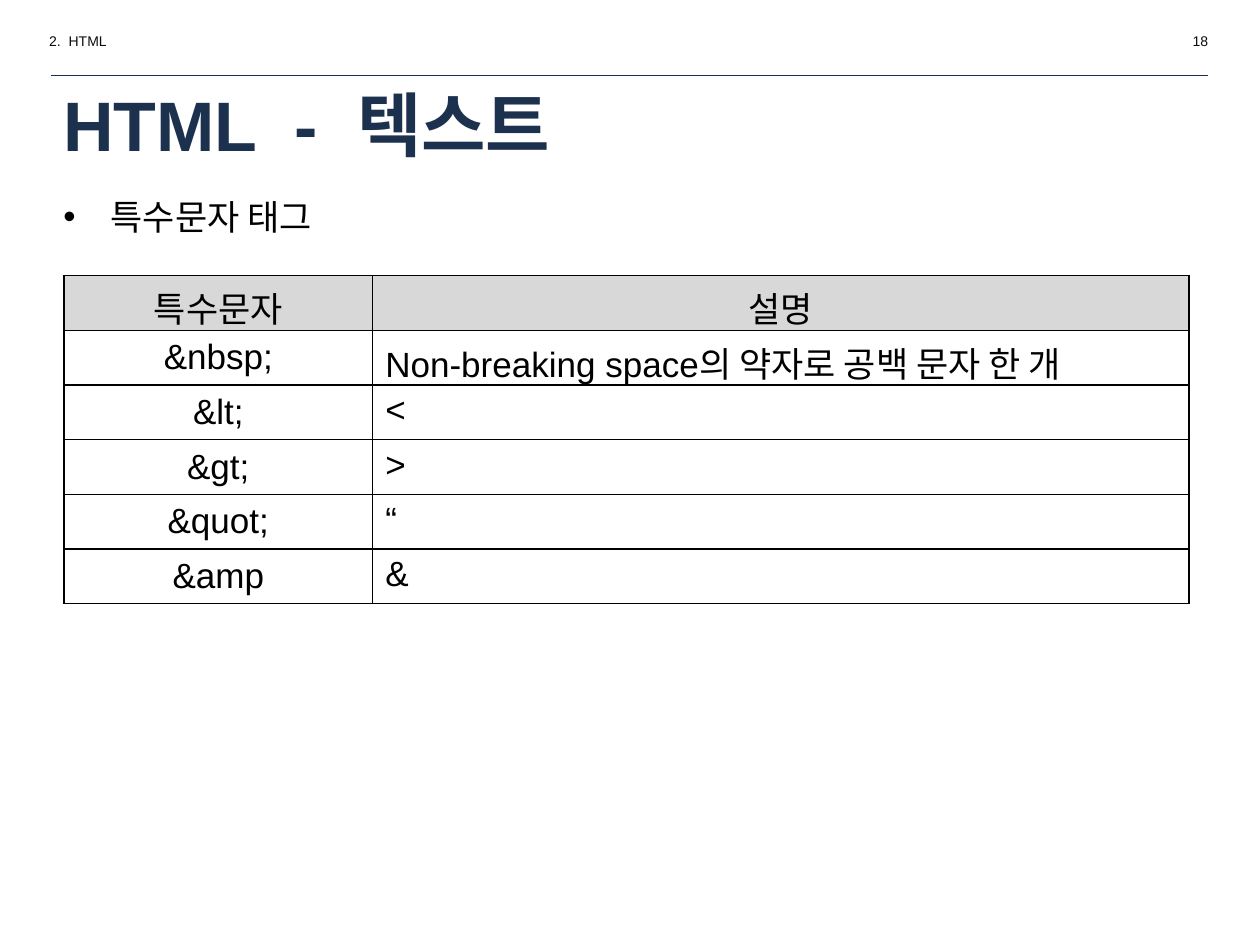
"""Build the slide listing the HTML special character tags."""
from lxml.etree import SubElement
from pptx import Presentation
from pptx.dml.color import RGBColor
from pptx.enum.shapes import MSO_CONNECTOR
from pptx.enum.text import MSO_ANCHOR, MSO_AUTO_SIZE, PP_ALIGN
from pptx.oxml.ns import qn
from pptx.util import Pt

NAVY = RGBColor(0x1C, 0x31, 0x4E)
INK = RGBColor(0x0C, 0x0C, 0x0C)
BLACK = RGBColor(0, 0, 0)
GRAY = RGBColor(0xD8, 0xD8, 0xD8)
ROWS = [
    ("특수문자", "설명"),
    ("&nbsp;", "Non-breaking space의 약자로 공백 문자 한 개"),
    ("&lt;", "<"),
    ("&gt;", ">"),
    ("&quot;", "“"),
    ("&amp", "&"),
]


def write(frame, text, size, color, align=PP_ALIGN.LEFT, bold=False):
    frame.text = text
    paragraph = frame.paragraphs[0]
    paragraph.alignment = align
    paragraph.font.name = "Arial"
    paragraph.font.size = Pt(size)
    paragraph.font.bold = bold
    paragraph.font.color.rgb = color


def add_borders(cell):
    properties = cell._tc.get_or_add_tcPr()
    for side in ("a:lnL", "a:lnR", "a:lnT", "a:lnB"):
        border = SubElement(properties, qn(side), w=str(Pt(1)))
        fill = SubElement(border, qn("a:solidFill"))
        SubElement(fill, qn("a:srgbClr"), val=str(BLACK))


deck = Presentation()
deck.slide_width, deck.slide_height = Pt(720), Pt(540)
page = deck.slides.add_slide(deck.slide_layouts[1])

for left, text, align in ((21, "2.  HTML", PP_ALIGN.LEFT), (573, "18", PP_ALIGN.RIGHT)):
    box = page.shapes.add_textbox(Pt(left), Pt(15), Pt(124.5), Pt(17))
    box.text_frame.word_wrap = True
    write(box.text_frame, text, 8, INK, align)

rule = page.shapes.add_connector(MSO_CONNECTOR.STRAIGHT, Pt(29), Pt(43), Pt(690.5), Pt(43))
rule.line.color.rgb = NAVY
rule.line.width = Pt(0.75)
SubElement(rule._element.spPr, qn("a:effectLst"))

title = page.shapes.title
title.left, title.top, title.width, title.height = Pt(29), Pt(47.5), Pt(659), Pt(46)
title.text_frame.auto_size = MSO_AUTO_SIZE.NONE
title.text_frame.vertical_anchor = MSO_ANCHOR.MIDDLE
write(title.text_frame, "HTML  -  텍스트", 40, NAVY, bold=True)

body = page.placeholders[1]
body.left, body.top, body.width, body.height = Pt(29), Pt(108), Pt(662), Pt(31.5)
body.text_frame.auto_size = MSO_AUTO_SIZE.NONE
bullet = body.text_frame.paragraphs[0]._p.get_or_add_pPr()
bullet.set("marL", str(Pt(27)))
bullet.set("indent", str(-Pt(27)))
bullet_color = SubElement(bullet, qn("a:buClr"))
SubElement(bullet_color, qn("a:srgbClr"), val=str(BLACK))
SubElement(bullet, qn("a:buFont"), typeface="Arial")
SubElement(bullet, qn("a:buChar"), char="▪")
write(body.text_frame, "특수문자 태그", 20, BLACK)
body.text_frame.paragraphs[0].space_before = Pt(0)

table = page.shapes.add_table(len(ROWS), 2, Pt(36.5), Pt(157.5), Pt(643), Pt(177)).table
table.columns[0].width, table.columns[1].width = Pt(176.5), Pt(466.5)
for row, texts in enumerate(ROWS):
    table.rows[row].height = Pt(29.5)
    for column, text in enumerate(texts):
        cell = table.cell(row, column)
        centered = row == 0 or column == 0
        write(cell.text_frame, text, 20, BLACK, PP_ALIGN.CENTER if centered else PP_ALIGN.LEFT)
        add_borders(cell)
        if row == 0:
            cell.fill.solid()
            cell.fill.fore_color.rgb = GRAY
        else:
            cell.fill.background()
            if column == 0:
                cell.vertical_anchor = MSO_ANCHOR.MIDDLE

deck.save("out.pptx")
